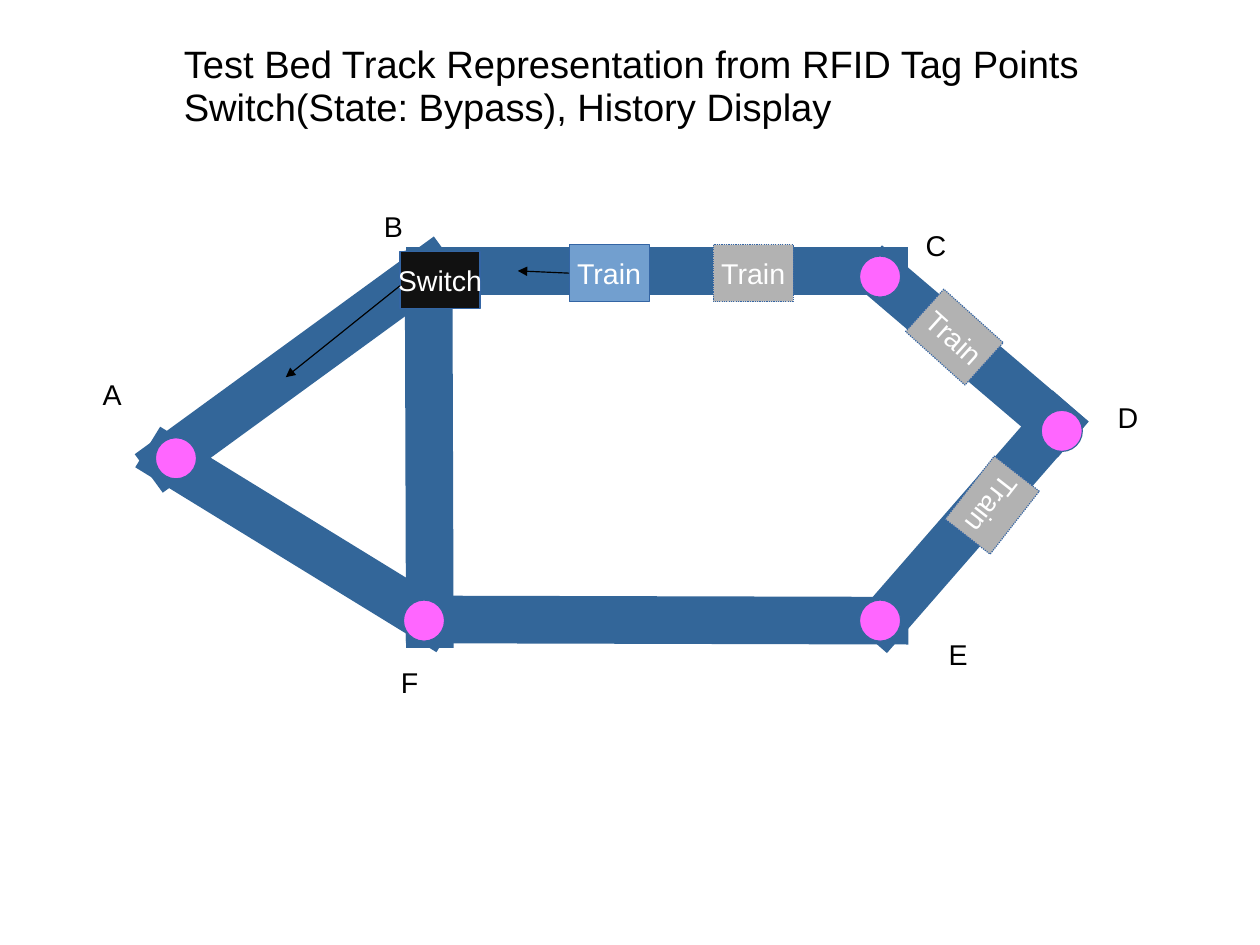
from lxml.etree import SubElement
from pptx import Presentation
from pptx.dml.color import RGBColor
from pptx.enum.dml import MSO_LINE
from pptx.enum.shapes import MSO_CONNECTOR, MSO_SHAPE
from pptx.enum.text import MSO_ANCHOR, PP_ALIGN
from pptx.oxml.ns import qn
from pptx.util import Inches, Pt

TRACK, EDGE, TAG = "336699", "3465A4", "FF66FF"
BLACK, WHITE, GREY = "000000", "FFFFFF", "B2B2B2"

RAILS = [
    ((2.76, 3.46), (2.75, 0.4)),
    ((2.76, 3.42), (6.74, 3.43)),
    ((6.74, 3.42), (8.23, 1.71)),
    ((2.76, 0.37), (6.74, 0.37)),
    ((0.47, 2.02), (2.75, 0.36)),
    ((6.74, 0.44), (8.23, 1.71)),
    ((0.47, 2.02), (2.75, 3.42)),
]
TAGS = [(0.36, 1.83), (2.53, 3.25), (6.52, 0.24), (8.11, 1.59), (6.52, 3.25)]
NAMES = {
    "A": (-0.2, 1.27), "B": (2.26, -0.2), "C": (7, -0.03),
    "D": (8.68, 1.47), "E": (7.2, 3.55), "F": (2.41, 3.79),
}
CARS = [
    ("Train", 3.98, 0.14, 0, "729FCF", False),
    ("Switch", 2.5, 0.2, 0, "111111", False),
    ("Train", 5.24, 0.14, 0, GREY, True),
    ("Train", 7, 0.7, 42, GREY, True),
    ("Train", 7.33, 2.17, 128, GREY, True),
]
ARROWS = [((2.5, 0.5), (1.5, 1.3)), ((3.98, 0.39), (3.53, 0.37))]


def color(code):
    return RGBColor.from_string(code)


def style(frame, size, code):
    for para in frame.paragraphs:
        for run in para.runs:
            run.font.name = "Arial"
            run.font.size = Pt(size)
            run.font.color.rgb = color(code)


def add_text(slide, box, text, size):
    frame = slide.shapes.add_textbox(*map(Inches, box)).text_frame
    frame.word_wrap = True
    frame.text = text
    for para in frame.paragraphs:
        para.line_spacing = 0.94
    style(frame, size, BLACK)


def add_line(slide, box, start, end, code, width):
    left, top = box[:2]
    line = slide.shapes.add_connector(
        MSO_CONNECTOR.STRAIGHT,
        Inches(left + start[0]), Inches(top + start[1]),
        Inches(left + end[0]), Inches(top + end[1]))
    line.line.color.rgb = color(code)
    line.line.width = Pt(width)
    SubElement(line._element.spPr, qn("a:effectLst"))
    return line.line._get_or_add_ln()


def add_form(slide, kind, box, fill, edge):
    form = slide.shapes.add_shape(kind, *map(Inches, box))
    form.shadow.inherit = False
    form.fill.solid()
    form.fill.fore_color.rgb = color(fill)
    form.line.color.rgb = color(edge)
    form.line.width = Pt(0.75)
    return form


def draw_track(slide, box):
    left, top = box[:2]
    for start, end in RAILS:
        add_line(slide, box, start, end, TRACK, 30).set("cap", "sq")
    for x, y in TAGS:
        spot = (left + x, top + y, 0.36, 0.36)
        add_form(slide, MSO_SHAPE.OVAL, spot, TAG, TRACK)
    for name, (x, y) in NAMES.items():
        add_text(slide, (left + x, top + y, 0.45, 0.49), name, 18)


def draw_cars(slide, box):
    left, top = box[:2]
    for text, x, y, turn, fill, past in CARS:
        spot = (left + x, top + y, 0.7, 0.5)
        car = add_form(slide, MSO_SHAPE.RECTANGLE, spot, fill, EDGE)
        car.rotation = turn
        if past:
            car.line.dash_style = MSO_LINE.ROUND_DOT
        frame = car.text_frame
        frame.word_wrap = False
        frame.vertical_anchor = MSO_ANCHOR.MIDDLE
        frame.text = text
        frame.paragraphs[0].alignment = PP_ALIGN.CENTER
        style(frame, 18, WHITE)
    for start, end in ARROWS:
        line = add_line(slide, box, start, end, BLACK, 0.75)
        SubElement(line, qn("a:tailEnd"), type="triangle")


def main():
    deck = Presentation()
    deck.slide_width, deck.slide_height = Inches(28 / 2.54), Inches(21 / 2.54)
    slide = deck.slides.add_slide(deck.slide_layouts[6])
    title = ("Test Bed Track Representation from RFID Tag Points\n"
             "Switch(State: Bypass), History Display")
    add_text(slide, (1.51, 0.34, 8.45, 0.61), title, 24)
    area = (1, 2, 9, 4)
    draw_track(slide, area)
    draw_cars(slide, area)
    deck.save("out.pptx")


if __name__ == "__main__":
    main()
